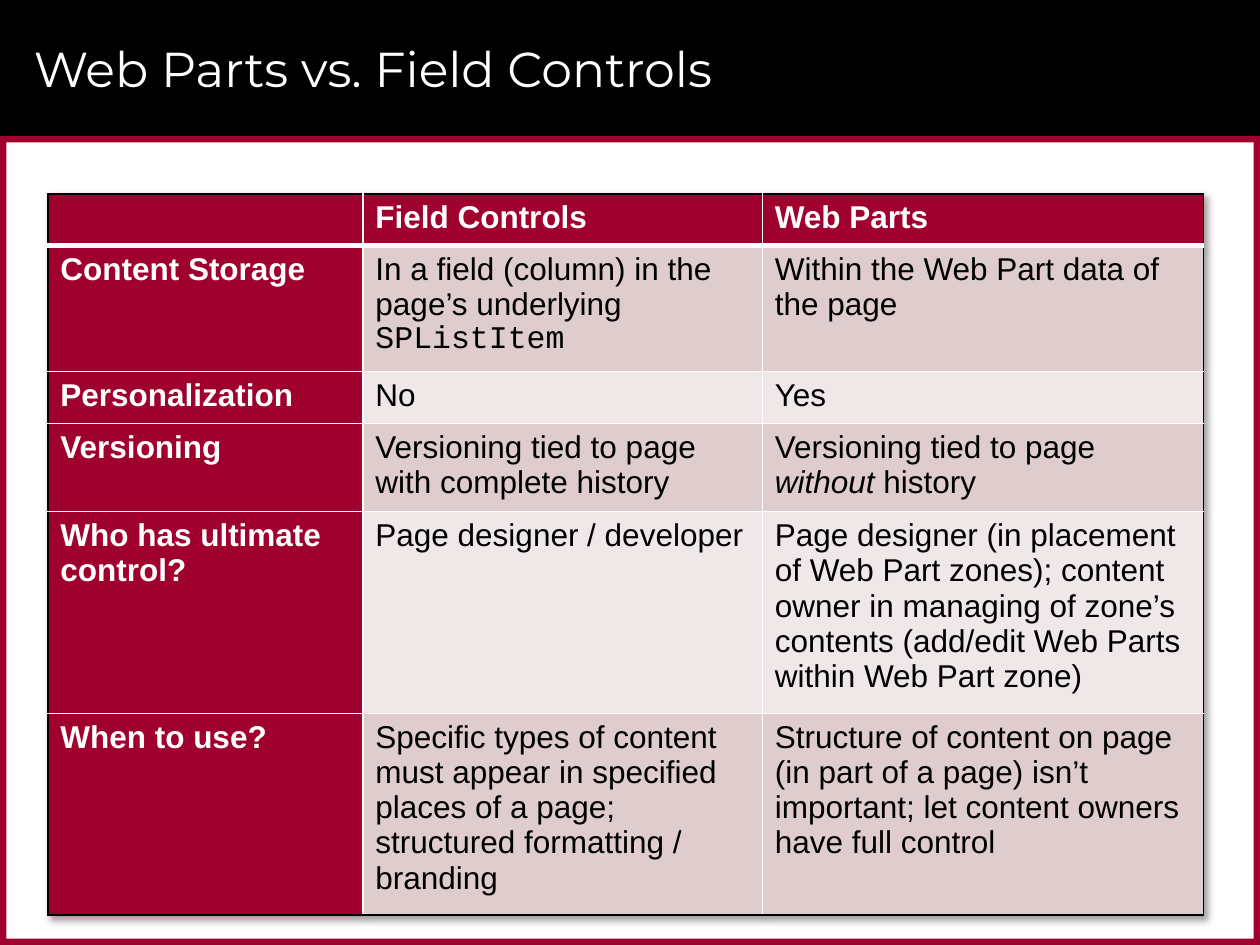
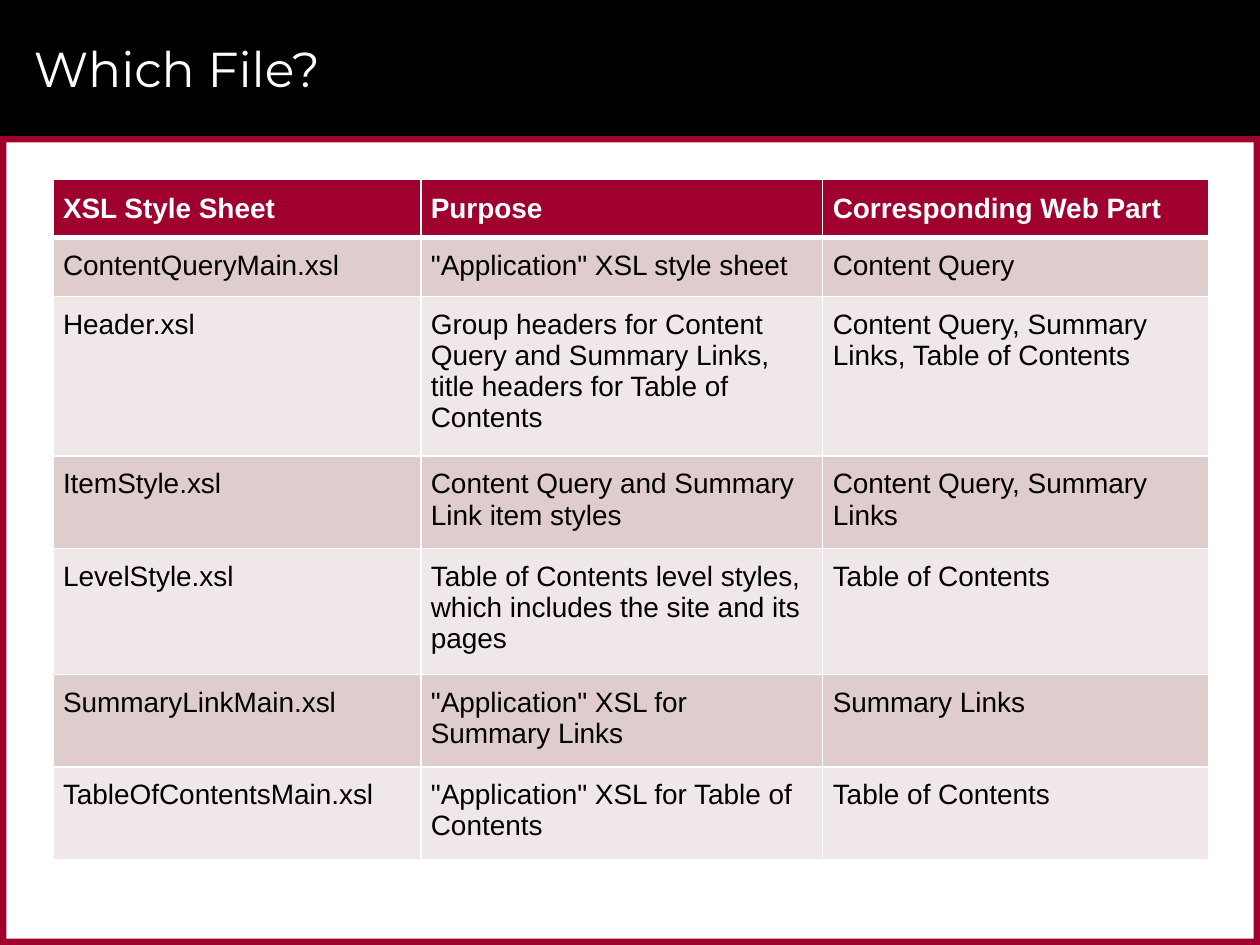
import dataclasses

import lxml.etree
import pptx
import pptx.dml.color
import pptx.enum.shapes
import pptx.enum.text
import pptx.oxml
import pptx.oxml.ns
import pptx.util

Pt = pptx.util.Pt
MIDDLE = pptx.enum.text.MSO_ANCHOR.MIDDLE
TOP = pptx.enum.text.MSO_ANCHOR.TOP


@dataclasses.dataclass(frozen=True)
class Theme:
    black: str = "000000"
    white: str = "FFFFFF"
    crimson: str = "9F002D"
    dark_band: str = "DFCCCD"
    light_band: str = "F0E7E8"
    title_font: str = "Montserrat"
    body_font: str = "Arial"
    code_font: str = "Courier New"
    title_size: int = 28
    comparison_size: int = 18
    files_size: int = 16


theme = Theme()
PAGE_WIDTH, PAGE_HEIGHT = 720, 540
BAND_HEIGHT, FRAME = 77.76, 3.6
ROW_HEIGHT = 29.52

frame_parts = [
    (0, 0, PAGE_WIDTH, BAND_HEIGHT, theme.black),
    (0, BAND_HEIGHT, PAGE_WIDTH, FRAME, theme.crimson),
    (0, PAGE_HEIGHT - FRAME, PAGE_WIDTH, FRAME, theme.crimson),
    (PAGE_WIDTH - FRAME, BAND_HEIGHT, FRAME, PAGE_HEIGHT - BAND_HEIGHT, theme.crimson),
    (0, BAND_HEIGHT, FRAME, PAGE_HEIGHT - BAND_HEIGHT, theme.crimson),
]

pages = [
    {
        "title": "Web Parts vs. Field Controls",
        "place": (27.36, 110.88, 660.24, 411.12),
        "columns": (180, 228.24, 252),
        "size": theme.comparison_size,
        "outline": theme.black,
        "header_column": True,
        "shadow": True,
        "header_anchor": TOP,
        "margins": (7.2, 3.6),
        "rows": [
            ("", "Field Controls", "Web Parts"),
            (
                "Content Storage",
                [
                    ("In a field (column) in the page’s underlying ", {}),
                    ("SPListItem", {"name": theme.code_font}),
                ],
                "Within the Web Part data of the page",
            ),
            ("Personalization", "No", "Yes"),
            (
                "Versioning",
                "Versioning tied to page with complete history",
                [
                    ("Versioning tied to page ", {}),
                    ("without", {"italic": True}),
                    (" history", {}),
                ],
            ),
            (
                "Who has ultimate control?",
                "Page designer / developer",
                "Page designer (in placement of Web Part zones); content owner in "
                "managing of zone’s contents (add/edit Web Parts within Web Part zone)",
            ),
            (
                "When to use?",
                "Specific types of content must appear in specified places of a page; "
                "structured formatting / branding",
                "Structure of content on page (in part of a page) isn’t important; "
                "let content owners have full control",
            ),
        ],
    },
    {
        "title": "Which File?",
        "place": (30.24, 102.24, 660.24, 393.12),
        "columns": (210.24, 229.68, 220.32),
        "size": theme.files_size,
        "outline": theme.white,
        "header_column": False,
        "shadow": False,
        "header_anchor": MIDDLE,
        "margins": (5.76, 7.2),
        "rows": [
            ("XSL Style Sheet", "Purpose", "Corresponding Web Part"),
            ("ContentQueryMain.xsl", '"Application" XSL style sheet', "Content Query"),
            (
                "Header.xsl",
                "Group headers for Content Query and Summary Links, "
                "title headers for Table of Contents",
                "Content Query, Summary Links, Table of Contents",
            ),
            (
                "ItemStyle.xsl",
                "Content Query and Summary Link item styles",
                "Content Query, Summary Links",
            ),
            (
                "LevelStyle.xsl",
                "Table of Contents level styles, which includes the site and its pages",
                "Table of Contents",
            ),
            ("SummaryLinkMain.xsl", '"Application" XSL for Summary Links', "Summary Links"),
            (
                "TableOfContentsMain.xsl",
                '"Application" XSL for Table of Contents',
                "Table of Contents",
            ),
        ],
    },
]


def add_spans(para, spans, base):
    """Add (text, format) spans, each format laid over the base format."""
    for text, changes in spans:
        span = para.add_run()
        span.text = text
        for name, value in {**base, **changes}.items():
            if name == "color":
                span.font.color.rgb = pptx.dml.color.RGBColor.from_string(value)
            else:
                setattr(span.font, name, value)


def set_borders(cell, borders):
    """Draw cell borders given as {side: (colour, points)}, in the order L, R, T, B."""
    properties = cell._tc.get_or_add_tcPr()
    for side, (color, points) in borders.items():
        line = lxml.etree.SubElement(
            properties, pptx.oxml.ns.qn(f"a:ln{side}"), w=str(int(Pt(points)))
        )
        fill = lxml.etree.SubElement(line, pptx.oxml.ns.qn("a:solidFill"))
        lxml.etree.SubElement(fill, pptx.oxml.ns.qn("a:srgbClr"), val=color)


deck = pptx.Presentation()
deck.slide_width, deck.slide_height = Pt(PAGE_WIDTH), Pt(PAGE_HEIGHT)

for content in pages:
    page = deck.slides.add_slide(deck.slide_layouts[6])

    for left, top, width, height, color in frame_parts:
        part = page.shapes.add_shape(
            pptx.enum.shapes.MSO_SHAPE.RECTANGLE, Pt(left), Pt(top), Pt(width), Pt(height)
        )
        part.shadow.inherit = False
        part.fill.solid()
        part.fill.fore_color.rgb = pptx.dml.color.RGBColor.from_string(color)
        part.line.fill.background()

    title = page.shapes.add_textbox(Pt(12.24), Pt(5.76), Pt(678.24), Pt(66.24))
    title.text_frame.word_wrap = True
    title.text_frame.vertical_anchor = MIDDLE
    title_format = {
        "name": theme.title_font,
        "size": Pt(theme.title_size),
        "color": theme.white,
    }
    add_spans(title.text_frame.paragraphs[0], [(content["title"], {})], title_format)

    rows, columns = content["rows"], content["columns"]
    last_row, last_column = len(rows) - 1, len(columns) - 1
    table_frame = page.shapes.add_table(
        len(rows), len(columns), *[Pt(length) for length in content["place"]]
    )
    table = table_frame.table
    table.horz_banding = False
    for column, width in zip(table.columns, columns):
        column.width = Pt(width)
    for row in table.rows:
        row.height = Pt(ROW_HEIGHT)  # Rows grow to fit their text
    table_frame.height = Pt(content["place"][3])

    if content["shadow"]:
        effects = pptx.oxml.parse_xml(
            f'<a:effectLst {pptx.oxml.ns.nsdecls("a")}>'
            '<a:outerShdw blurRad="50800" dist="38100" dir="2700000" algn="tl">'
            f'<a:srgbClr val="{theme.black}"><a:alpha val="40000"/></a:srgbClr>'
            "</a:outerShdw></a:effectLst>"
        )
        table._tbl.tblPr.insert(0, effects)

    outline, inner = (content["outline"], 1), (theme.white, 1)
    header_rule = (theme.white, 3)
    side_margin, end_margin = content["margins"]
    for r, texts in enumerate(rows):
        for c, text in enumerate(texts):
            cell = table.cell(r, c)
            is_header = r == 0 or (c == 0 and content["header_column"])
            band = theme.dark_band if r % 2 else theme.light_band
            set_borders(cell, {
                "L": outline if c == 0 else inner,
                "R": outline if c == last_column else inner,
                "T": outline if r == 0 else header_rule if r == 1 else inner,
                "B": header_rule if r == 0 else outline if r == last_row else inner,
            })
            cell.fill.solid()
            cell.fill.fore_color.rgb = pptx.dml.color.RGBColor.from_string(
                theme.crimson if is_header else band
            )
            cell.margin_left = cell.margin_right = Pt(side_margin)
            cell.margin_top = cell.margin_bottom = Pt(end_margin)
            cell.vertical_anchor = content["header_anchor"] if r == 0 else TOP
            cell_format = {
                "name": theme.body_font,
                "size": Pt(content["size"]),
                "bold": is_header,
                "color": theme.white if is_header else theme.black,
            }
            if text:
                spans = [(text, {})] if isinstance(text, str) else text
                add_spans(cell.text_frame.paragraphs[0], spans, cell_format)

deck.save("out.pptx")
